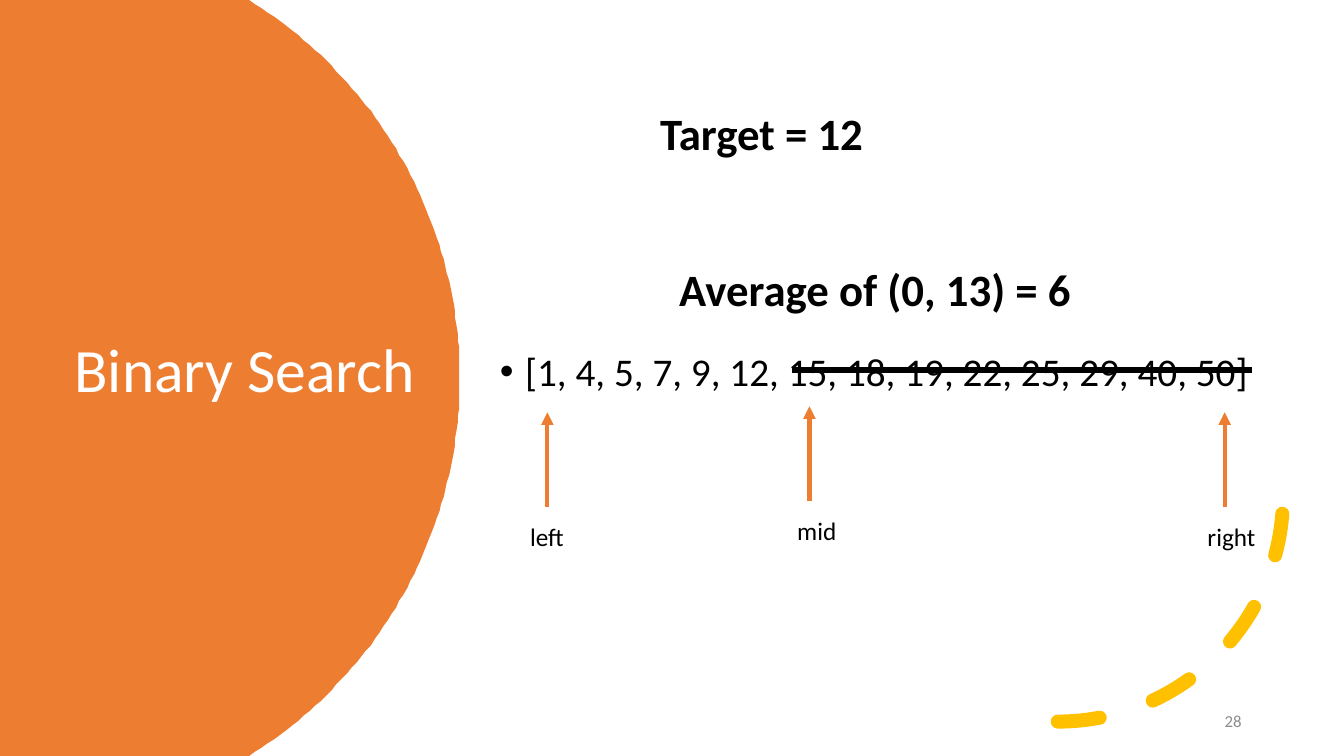
"""Build the binary search slide with its left, mid and right pointers."""
import math

from lxml import etree
from pptx import Presentation
from pptx.dml.color import RGBColor
from pptx.enum.dml import MSO_LINE
from pptx.enum.shapes import MSO_CONNECTOR, MSO_SHAPE
from pptx.enum.text import MSO_ANCHOR, MSO_AUTO_SIZE, PP_ALIGN
from pptx.oxml.ns import qn
from pptx.util import Pt

STRAIGHT, ARC, DASH = MSO_CONNECTOR.STRAIGHT, MSO_SHAPE.ARC, MSO_LINE.DASH
LEFT, RIGHT = PP_ALIGN.LEFT, PP_ALIGN.RIGHT
TOP, MIDDLE = MSO_ANCHOR.TOP, MSO_ANCHOR.MIDDLE
COLORS = {"orange": "ED7D31", "yellow": "FFC000", "black": "000000",
          "white": "FFFFFF", "gray": "8C8C8C"}


def write_text(box, bounds, text, size, color="black", bold=False,
               align=LEFT, anchor=TOP, wrap=True):
    box.left, box.top, box.width, box.height = [Pt(value) for value in bounds]
    frame = box.text_frame
    frame.auto_size = MSO_AUTO_SIZE.NONE
    frame.word_wrap = wrap
    frame.vertical_anchor = anchor
    para = frame.paragraphs[0]
    para.alignment = align
    span = para.add_run()
    span.text = text
    span.font.name = "Calibri"
    span.font.size = Pt(size)
    span.font.bold = bold
    span.font.color.rgb = RGBColor.from_string(COLORS[color])
    return para


def draw_line(page, start, end, color, width):
    line = page.shapes.add_connector(STRAIGHT, *[Pt(value) for value in start + end])
    line.line.color.rgb = RGBColor.from_string(COLORS[color])
    line.line.width = Pt(width)
    etree.SubElement(line._element.spPr, qn("a:effectLst"))
    return line


deck = Presentation()
deck.slide_width, deck.slide_height = Pt(960), Pt(540)
page = deck.slides.add_slide(deck.slide_layouts[1])
title, body = page.placeholders[0], page.placeholders[1]

center_x, center_y, radius = 10.8, 270, 317.5
half_angle = math.asin(center_y / radius)
steps = 120
rim = []
for step in range(steps + 1):
    angle = half_angle * (2 * step / steps - 1)
    rim.append((center_x + radius * math.cos(angle), center_y + radius * math.sin(angle)))
builder = page.shapes.build_freeform(0, 0, scale=Pt(1))
builder.add_line_segments(rim + [(0, 540)], close=True)
disc = builder.convert_to_shape()
disc.shadow.inherit = False
disc.fill.solid()
disc.fill.fore_color.rgb = RGBColor.from_string(COLORS["orange"])
disc.line.fill.background()
page.shapes._spTree.insert(2, disc._element)

para = write_text(title, (46, 90.7, 296, 351.4), "Binary Search", 44, "white", anchor=MIDDLE)
para.line_spacing = 0.9

arc = page.shapes.add_shape(ARC, Pt(594.7), Pt(193.7), Pt(321.8), Pt(321.8))
arc.shadow.inherit = False
arc.fill.background()
arc.line.color.rgb = RGBColor.from_string(COLORS["yellow"])
arc.line.width = Pt(10)
arc.line.dash_style = DASH
arc.line._get_or_add_ln().set("cap", "rnd")
arc._element.spPr.find(qn("a:xfrm")).set("flipV", "1")

para = write_text(body, (349.9, 46.8, 573.8, 439.9),
                  "[1, 4, 5, 7, 9, 12, 15, 18, 19, 22, 25, 29, 40, 50]", 28, anchor=MIDDLE)
para.line_spacing = 0.9
para.space_before = Pt(10)
properties = para._p.get_or_add_pPr()
properties.set("marL", str(Pt(18)))
properties.set("indent", str(Pt(-18)))
etree.SubElement(properties, qn("a:buFont")).set("typeface", "Arial")
etree.SubElement(properties, qn("a:buChar")).set("char", "•")

number = page.shapes.add_textbox(0, 0, 0, 0)
write_text(number, (678, 500.5, 216, 28.8), "28", 12, "gray", align=RIGHT, anchor=MIDDLE)

for text, bounds in (("Target = 12", (464.4, 72, 257.8, 46)),
                     ("Average of (0, 13) = 6", (478.1, 183.6, 321.8, 46))):
    heading = page.shapes.add_textbox(0, 0, 0, 0)
    write_text(heading, bounds, text, 32, bold=True)

for name, arrow_x, tip_y, label_x, label_width in (("left", 391, 294.5, 371.5, 39.6),
                                                   ("right", 874.8, 294.5, 855.4, 49),
                                                   ("mid", 578.2, 290.2, 562.3, 42.5)):
    arrow = draw_line(page, (arrow_x, tip_y + 67.7), (arrow_x, tip_y), "orange", 3)
    etree.SubElement(arrow.line._get_or_add_ln(), qn("a:tailEnd")).set("type", "triangle")
    label = page.shapes.add_textbox(0, 0, 0, 0)
    write_text(label, (label_x, tip_y + 74.2, label_width, 28.8), name, 18, wrap=False)

draw_line(page, (565.9, 264.2), (894.2, 264.2), "black", 4)

deck.save("out.pptx")
